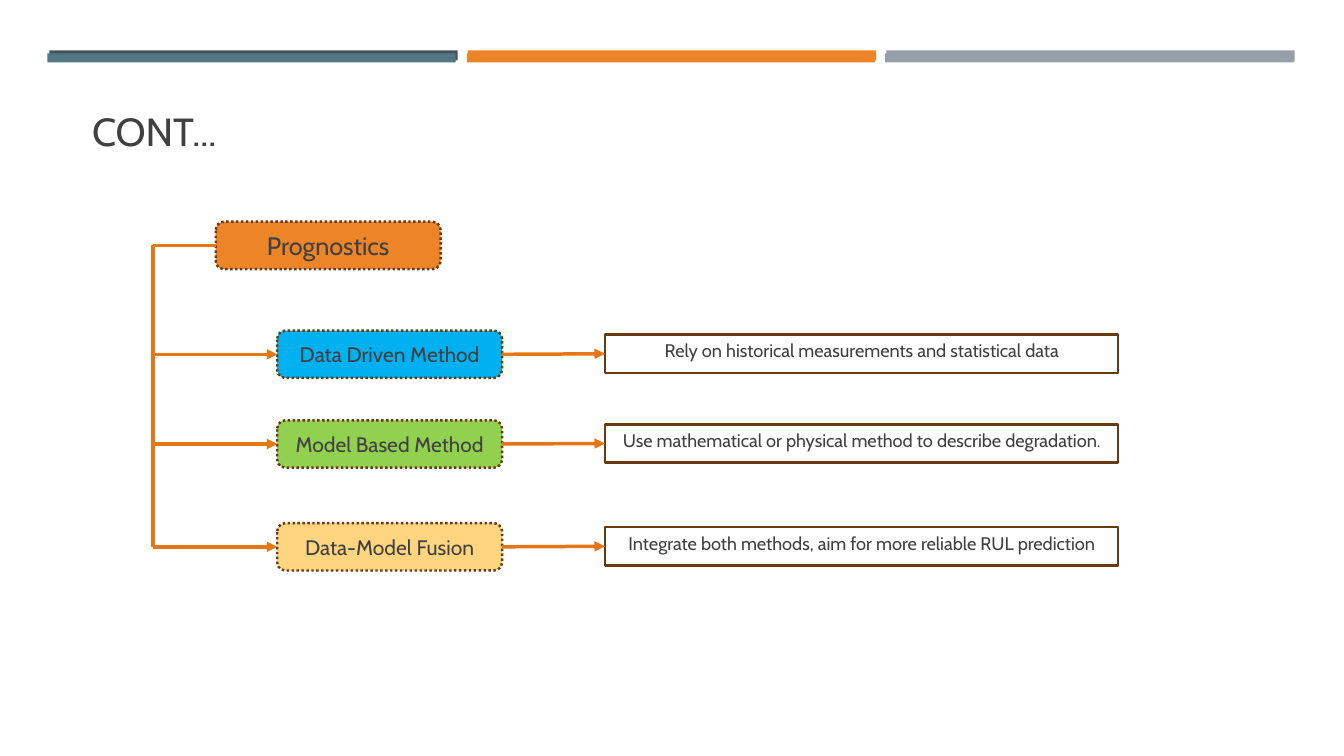
from dataclasses import dataclass

import pptx
import pptx.dml.color
import pptx.enum.dml
import pptx.enum.shapes
import pptx.enum.text
import pptx.oxml.xmlchemy
import pptx.shapes.autoshape
import pptx.shapes.connector
import pptx.slide
import pptx.text.text
import pptx.util

Inches = pptx.util.Inches
Pt = pptx.util.Pt
Shape = pptx.shapes.autoshape.Shape
Line = pptx.shapes.connector.Connector
Slide = pptx.slide.Slide
Anchor = pptx.enum.text.MSO_ANCHOR
Kind = pptx.enum.shapes.MSO_SHAPE
Element = pptx.oxml.xmlchemy.OxmlElement

FONT = "Cabin"
INK = "404040"
BROWN = "683A12"
ORANGE = "ED8428"
ARROW = "E67613"
WHITE = "FFFFFF"

BOX_W, BOX_H = 2.23, 0.47
NOTE_W, NOTE_H = 5.09, 0.38
ROOT_X, ROOT_Y = 2.14, 2.2
BOX_X, NOTE_X = 2.75, 6.0
TRUNK_X = 1.52


@dataclass
class Bar:
    left: float
    top: float
    height: float
    fill: str


@dataclass
class Method:
    name: str
    note: str
    top: float
    fill: str


BARS = [
    Bar(0.49, 0.5, 0.1, "465359"),
    Bar(8.79, 0.5, 0.11, "969FA7"),
    Bar(4.64, 0.5, 0.1, ORANGE),
    Bar(0.47, 0.53, 0.09, "537685"),
    Bar(4.63, 0.53, 0.09, ORANGE),
    Bar(8.78, 0.53, 0.09, "969FA7"),
]

METHODS = [
    Method("Data Driven Method",
           "Rely on historical measurements and statistical data",
           3.28, "00B0F0"),
    Method("Model Based Method",
           "Use mathematical or physical method to describe degradation.",
           4.17, "92D050"),
    Method("Data-Model Fusion",
           "Integrate both methods, aim for more reliable RUL prediction",
           5.19, "FFD580"),
]


def color(code: str) -> pptx.dml.color.RGBColor:
    return pptx.dml.color.RGBColor.from_string(code)


def write(frame: pptx.text.text.TextFrame, text: str, size: float,
          anchor: Anchor) -> None:
    frame.word_wrap = True
    frame.vertical_anchor = anchor
    para = frame.paragraphs[0]
    para.text = text
    para.alignment = pptx.enum.text.PP_ALIGN.CENTER
    para.font.name = FONT
    para.font.size = Pt(size)
    para.font.color.rgb = color(INK)


def block(slide: Slide, kind: Kind, left: float, top: float, width: float,
          height: float, fill: str) -> Shape:
    shape = slide.shapes.add_shape(
        kind, Inches(left), Inches(top), Inches(width), Inches(height))
    shape.shadow.inherit = False
    shape.fill.solid()
    shape.fill.fore_color.rgb = color(fill)
    shape.line.fill.background()
    return shape


def border(shape: Shape) -> None:
    shape.line.color.rgb = color(BROWN)
    shape.line.width = Pt(1.75)


def box(slide: Slide, left: float, top: float, fill: str, text: str,
        size: float) -> Shape:
    shape = block(slide, Kind.ROUNDED_RECTANGLE, left, top, BOX_W, BOX_H, fill)
    border(shape)
    shape.line.dash_style = pptx.enum.dml.MSO_LINE.ROUND_DOT
    write(shape.text_frame, text, size, Anchor.MIDDLE)
    return shape


def label(slide: Slide, top: float, text: str) -> Shape:
    shape = block(slide, Kind.RECTANGLE, NOTE_X, top, NOTE_W, NOTE_H, WHITE)
    border(shape)
    write(shape.text_frame, text, 13, Anchor.TOP)
    return shape


def link(slide: Slide, x1: float, y1: float, x2: float, y2: float,
         head: bool = True) -> Line:
    line = slide.shapes.add_connector(
        pptx.enum.shapes.MSO_CONNECTOR.STRAIGHT,
        Inches(x1), Inches(y1), Inches(x2), Inches(y2))
    line.line.color.rgb = color(ARROW)
    line.line.width = Pt(2.5)
    props = line.get_or_add_ln()
    if head:
        tip = Element("a:tailEnd")
        tip.set("type", "triangle")
        props.append(tip)
    props.getparent().append(Element("a:effectLst"))
    return line


def main() -> None:
    deck = pptx.Presentation()
    deck.slide_width = Inches(13.33)
    deck.slide_height = Inches(7.5)
    slide = deck.slides.add_slide(deck.slide_layouts[6])

    # Top bars
    for bar in BARS:
        block(slide, Kind.RECTANGLE, bar.left, bar.top, 4.05, bar.height,
              bar.fill)

    # Title
    title = slide.shapes.add_textbox(
        Inches(0.01), Inches(0.92), Inches(3.04), Inches(0.66))
    write(title.text_frame, "CONT...", 28, Anchor.BOTTOM)

    # Root and trunk
    root = box(slide, ROOT_X, ROOT_Y, ORANGE, "Prognostics", 18)
    start = ROOT_Y + BOX_H / 2
    end = METHODS[-1].top + BOX_H / 2
    link(slide, TRUNK_X, start, TRUNK_X, end, head=False)
    stem = link(slide, TRUNK_X, start, ROOT_X, start, head=False)
    stem.end_connect(root, 1)

    # Methods with their notes
    for item in METHODS:
        mid = item.top + BOX_H / 2
        node = box(slide, BOX_X, item.top, item.fill, item.name, 15)
        note = label(slide, item.top + 0.04, item.note)
        branch = link(slide, TRUNK_X, mid, BOX_X, mid)
        branch.end_connect(node, 1)
        arrow = link(slide, BOX_X + BOX_W, mid, NOTE_X, mid)
        arrow.begin_connect(node, 3)
        arrow.end_connect(note, 1)

    deck.save("out.pptx")


if __name__ == "__main__":
    main()
